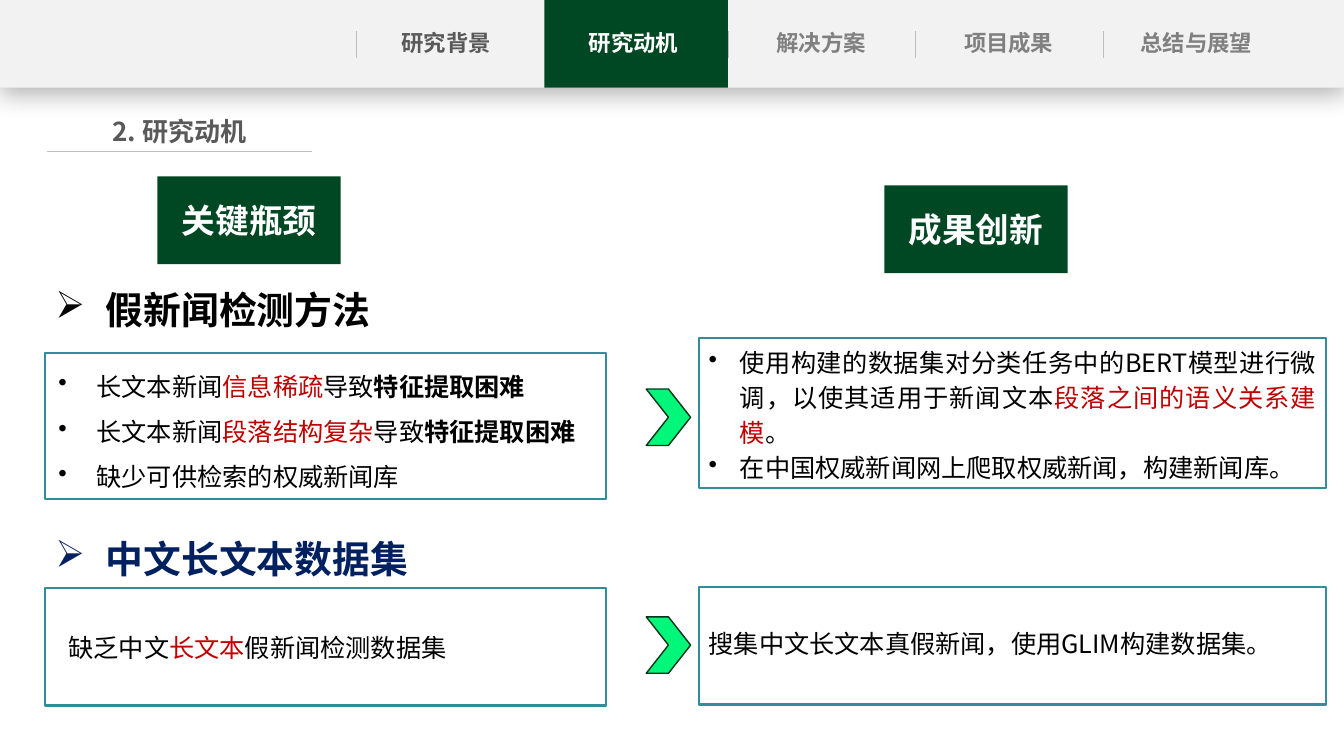
import pptx
import pptx.dml.color
import pptx.enum.shapes
import pptx.enum.text
import pptx.oxml
import pptx.oxml.ns
import pptx.util
from pptx.util import Inches

FONT = "Noto Sans CJK SC"
GREEN, TEAL, RED, BLACK, WHITE = "004723", "328C99", "C00000", "000000", "FFFFFF"
DARK_GRAY, MID_GRAY, LINE_GRAY, NAVY = "595959", "808080", "BFBFBF", "002060"
SHAPE = pptx.enum.shapes.MSO_SHAPE
ALIGN = pptx.enum.text.PP_ALIGN
ANCHOR = pptx.enum.text.MSO_ANCHOR


def color(value):
    """Turn a hex string into a colour."""
    return pptx.dml.color.RGBColor.from_string(value)


def add_xml(parent, xml):
    """Append a DrawingML fragment to an element."""
    namespace = pptx.oxml.ns.nsdecls("a")
    parent.append(pptx.oxml.parse_xml(xml.replace("/>", f" {namespace}/>", 1) if xml.count("<") == 1
                                      else xml.replace(">", f" {namespace}>", 1)))


def write(shape, paragraphs, size, bold=False, align=ALIGN.LEFT, spacing=1.0,
          bullet=None, indent=0, hanging=0, anchor=ANCHOR.TOP, wrap=True, side=0.1):
    """Fill a shape with paragraphs given as lists of (text, colour[, bold]) runs."""
    frame = shape.text_frame
    frame.auto_size = pptx.enum.text.MSO_AUTO_SIZE.NONE
    frame.word_wrap = wrap
    frame.vertical_anchor = anchor
    frame.margin_left = frame.margin_right = Inches(side)
    frame.margin_top = frame.margin_bottom = Inches(0.05)
    for index, runs in enumerate(paragraphs):
        paragraph = frame.add_paragraph() if index else frame.paragraphs[0]
        paragraph.alignment = align
        paragraph.line_spacing = spacing
        if bullet:
            properties = paragraph._p.get_or_add_pPr()
            properties.set("marL", str(Inches(indent)))
            properties.set("indent", str(-Inches(hanging)))
            add_xml(properties, f'<a:buChar char="{bullet}"/>')
        for text, run_color, *emphasis in runs:
            run = paragraph.add_run()
            run.text = text
            run.font.size = pptx.util.Pt(size)
            run.font.bold = emphasis[0] if emphasis else bold
            run.font.color.rgb = color(run_color)
            run.font.name = FONT
            add_xml(run._r.get_or_add_rPr(), f'<a:ea typeface="{FONT}"/>')


def add_box(slide, bounds, fill=None, line=None, width=1.5, kind=SHAPE.RECTANGLE):
    """Add a preset shape without a shadow."""
    shape = slide.shapes.add_shape(kind, *map(Inches, bounds))
    shape.shadow.inherit = False
    if fill:
        shape.fill.solid()
        shape.fill.fore_color.rgb = color(fill)
    else:
        shape.fill.background()
    if line:
        shape.line.color.rgb = color(line)
        shape.line.width = pptx.util.Pt(width)
    else:
        shape.line.fill.background()
    return shape


def add_text(slide, bounds, paragraphs, size, **style):
    """Add a text box."""
    write(slide.shapes.add_textbox(*map(Inches, bounds)), paragraphs, size, **style)


def add_rule(slide, *ends):
    """Add a thin gray line."""
    rule = slide.shapes.add_connector(pptx.enum.shapes.MSO_CONNECTOR.STRAIGHT, *map(Inches, ends))
    rule.line.color.rgb = color(LINE_GRAY)
    rule.line.width = pptx.util.Pt(0.5)
    add_xml(rule._element.spPr, "<a:effectLst/>")


def add_navigation(slide):
    """Add the top bar with its five tabs."""
    bar = add_box(slide, (0, 0, 13.33, 0.87), "F2F2F2")
    properties = bar._element.spPr
    properties.remove(properties.find(pptx.oxml.ns.qn("a:effectLst")))
    add_xml(properties, '<a:effectLst><a:outerShdw blurRad="228600" dist="50800" dir="5400000" '
            'algn="t" rotWithShape="0"><a:srgbClr val="000000"><a:alpha val="29000"/>'
            '</a:srgbClr></a:outerShdw></a:effectLst>')
    add_box(slide, (5.4, 0, 1.82, 0.87), GREEN)
    for left in (3.53, 7.22, 9.08, 10.94):
        add_rule(slide, left, 0.31, left, 0.58)
    tabs = [("研究背景", DARK_GRAY), ("研究动机", WHITE), ("解决方案", MID_GRAY),
            ("项目成果", MID_GRAY), ("总结与展望", MID_GRAY)]
    for index, tab in enumerate(tabs):
        add_text(slide, (3.69 + 1.86 * index, 0.24, 1.47, 0.38), [[tab]], 16,
                 bold=True, align=ALIGN.CENTER, side=0)


def add_title(slide):
    """Place and format the slide title and its underline."""
    title = slide.shapes.title
    title.left, title.top, title.width, title.height = map(Inches, (0.47, 1.1, 2.62, 0.42))
    write(title, [[("2. 研究动机", DARK_GRAY)]], 18.6, bold=True, align=ALIGN.CENTER, side=0)
    add_rule(slide, 0.47, 1.5, 3.09, 1.5)


def add_label(slide, left, top, text):
    """Add a green column label."""
    write(add_box(slide, (left, top, 1.82, 0.87), GREEN), [[(text, WHITE)]], 24,
          bold=True, align=ALIGN.CENTER, anchor=ANCHOR.MIDDLE)


def add_heading(slide, top, text, text_color):
    """Add an arrow-bulleted section heading."""
    add_text(slide, (0.45, top, 3.75, 0.56), [[(text, text_color)]], 27, bold=True,
             bullet="➢", indent=0.5, hanging=0.5, wrap=False)


def add_chevron(slide, top):
    """Add the arrow from a bottleneck to its innovation."""
    add_box(slide, (6.41, top, 0.44, 0.56), "00F77A", "00351A", 1, SHAPE.CHEVRON)


def main():
    """Build and save the slide."""
    presentation = pptx.Presentation()
    presentation.slide_width, presentation.slide_height = Inches(13.33), Inches(7.5)
    slide = presentation.slides.add_slide(presentation.slide_layouts[5])
    add_navigation(slide)
    add_title(slide)
    add_label(slide, 1.56, 1.75, "关键瓶颈")
    add_label(slide, 8.77, 1.84, "成果创新")

    add_heading(slide, 2.8, "假新闻检测方法", BLACK)
    add_box(slide, (0.45, 3.5, 5.56, 1.45), line=TEAL)
    difficulties = [[("长文本新闻", BLACK), (cause, RED), ("导致", BLACK), ("特征提取困难", BLACK, True)]
                    for cause in ("信息稀疏", "段落结构复杂")]
    add_text(slide, (-0.02, 3.48, 5.94, 1.39),
             difficulties + [[("缺少可供检索的权威新闻库", BLACK)]], 18,
             spacing=1.5, bullet="•", indent=0.88, hanging=0.38)
    add_chevron(slide, 3.86)
    write(add_box(slide, (6.93, 3.35, 6.22, 1.49), line=TEAL), [
        [("使用构建的数据集对分类任务中的BERT模型进行微调，以使其适用于新闻文本", BLACK),
         ("段落之间的语义关系建模", RED), ("。", BLACK)],
        [("在中国权威新闻网上爬取权威新闻，构建新闻库。", BLACK)],
    ], 18, align=ALIGN.JUSTIFY, spacing=1.15, bullet="•", indent=0.31, hanging=0.31,
        anchor=ANCHOR.MIDDLE)

    add_heading(slide, 5.27, "中文长文本数据集", NAVY)
    add_box(slide, (0.45, 5.83, 5.56, 1.17), line=TEAL)
    add_text(slide, (0.58, 6.22, 3.99, 0.71),
             [[("缺乏中文", BLACK), ("长文本", RED), ("假新闻检测数据集", BLACK)]], 18, wrap=False)
    add_chevron(slide, 6.12)
    write(add_box(slide, (6.93, 5.82, 6.22, 1.17), line=TEAL),
          [[("搜集中文长文本真假新闻，使用GLIM构建数据集。", BLACK)]], 18,
          spacing=0.9, anchor=ANCHOR.MIDDLE)
    presentation.save("out.pptx")


if __name__ == "__main__":
    main()
